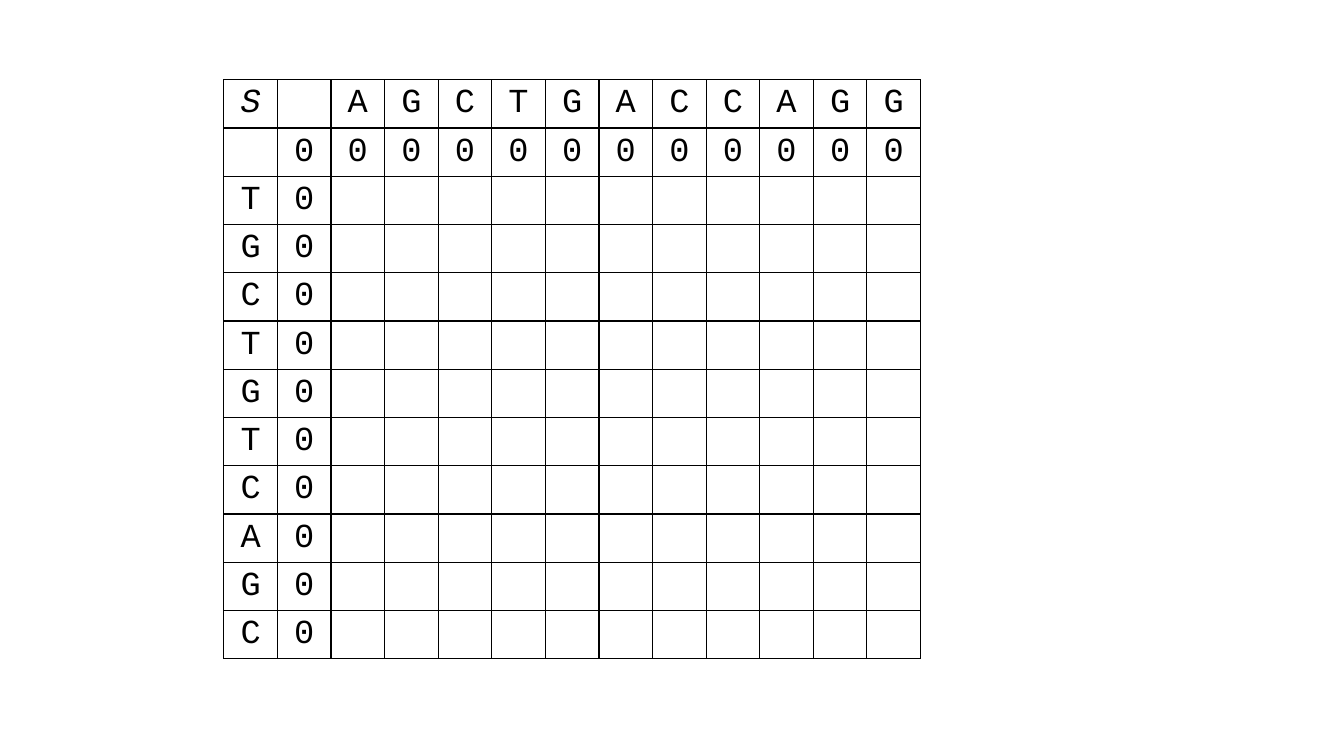
"""Build a slide with an empty local alignment score matrix for two sequences."""
from pptx import Presentation
from pptx.dml.color import RGBColor
from pptx.enum.text import MSO_ANCHOR, PP_ALIGN
from pptx.oxml import parse_xml
from pptx.oxml.ns import nsdecls
from pptx.util import Inches, Pt

TOP_SEQUENCE = "AGCTGACCAGG"
SIDE_SEQUENCE = "TGCTGTCAGC"
MATRIX_NAME = "S"
START_SCORE = "0"

COLORS = {"ink": "000000"}
FONT = {"name": "Courier New", "size": Pt(24), "bold": False}
BORDER_WIDTH = Pt(1)
LEFT, TOP, WIDTH, ROW_HEIGHT = 2.22, 0.79, 6.91, 0.46

gap = [""] * len(TOP_SEQUENCE)
matrix = [
    [MATRIX_NAME, "", *TOP_SEQUENCE],
    ["", START_SCORE, *START_SCORE * len(TOP_SEQUENCE)],
    *([base, START_SCORE, *gap] for base in SIDE_SEQUENCE),
]


def add_borders(cell):
    """Draw a solid line on all four sides of a cell."""
    properties = cell._tc.get_or_add_tcPr()
    for side in "LRTB":
        properties.append(parse_xml(
            f'<a:ln{side} {nsdecls("a")} w="{BORDER_WIDTH}"><a:solidFill>'
            f'<a:srgbClr val="{COLORS["ink"]}"/></a:solidFill></a:ln{side}>'))


def write_cell(cell, text):
    """Write centred text in the matrix font."""
    cell.vertical_anchor = MSO_ANCHOR.MIDDLE
    paragraph = cell.text_frame.paragraphs[0]
    paragraph.alignment = PP_ALIGN.CENTER
    run = paragraph.add_run()
    run.text = text
    for attribute, value in FONT.items():
        setattr(run.font, attribute, value)
    run.font.italic = text == MATRIX_NAME
    run.font.color.rgb = RGBColor.from_string(COLORS["ink"])


presentation = Presentation()
presentation.slide_width = Inches(13.33)
presentation.slide_height = Inches(7.5)
slide = presentation.slides.add_slide(presentation.slide_layouts[6])

table = slide.shapes.add_table(
    len(matrix), len(matrix[0]), Inches(LEFT), Inches(TOP),
    Inches(WIDTH), Inches(ROW_HEIGHT * len(matrix))).table
table.first_row = False
table.horz_banding = False

for row, values in enumerate(matrix):
    for column, text in enumerate(values):
        cell = table.cell(row, column)
        add_borders(cell)
        cell.fill.background()
        if text:
            write_cell(cell, text)

presentation.save("out.pptx")
